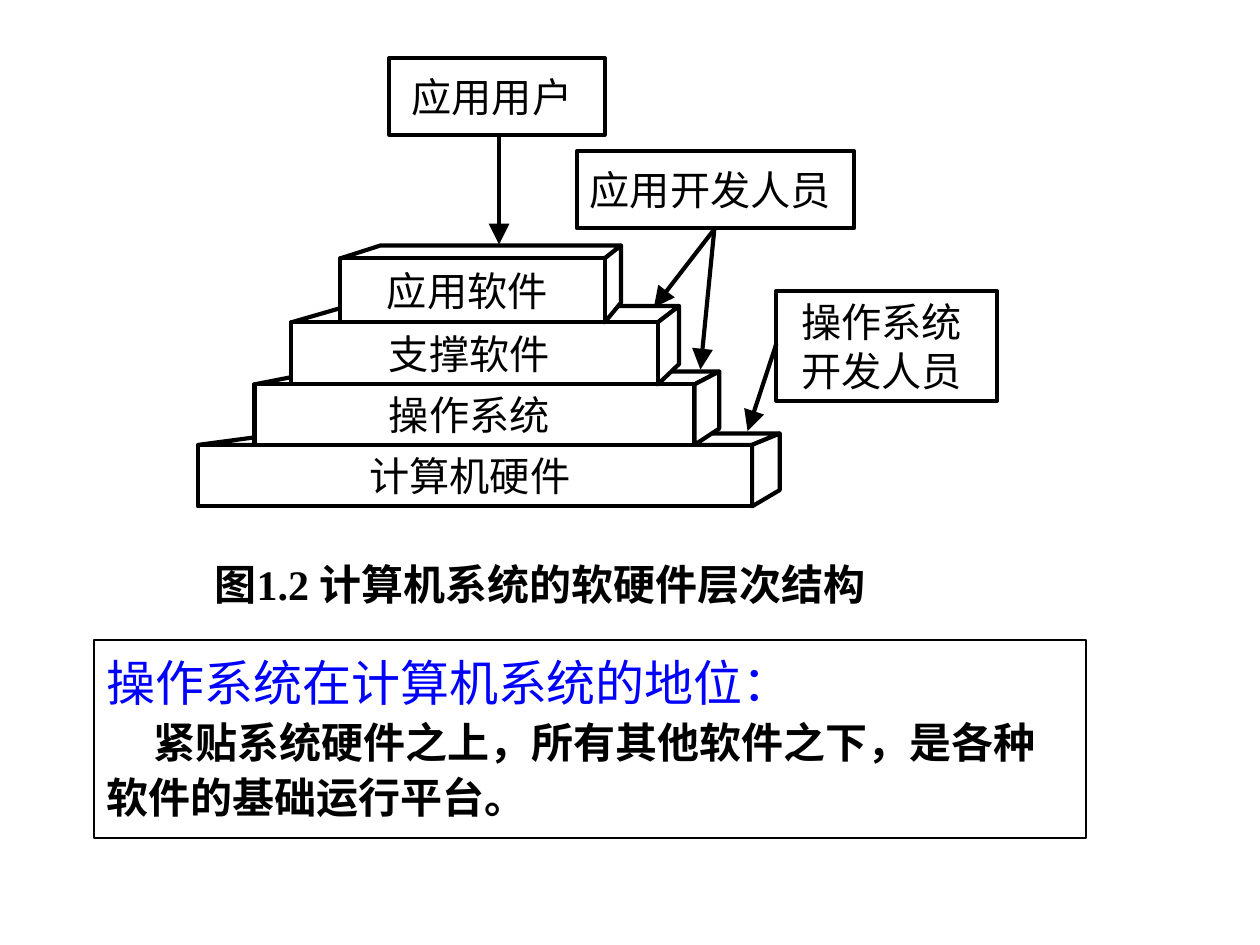
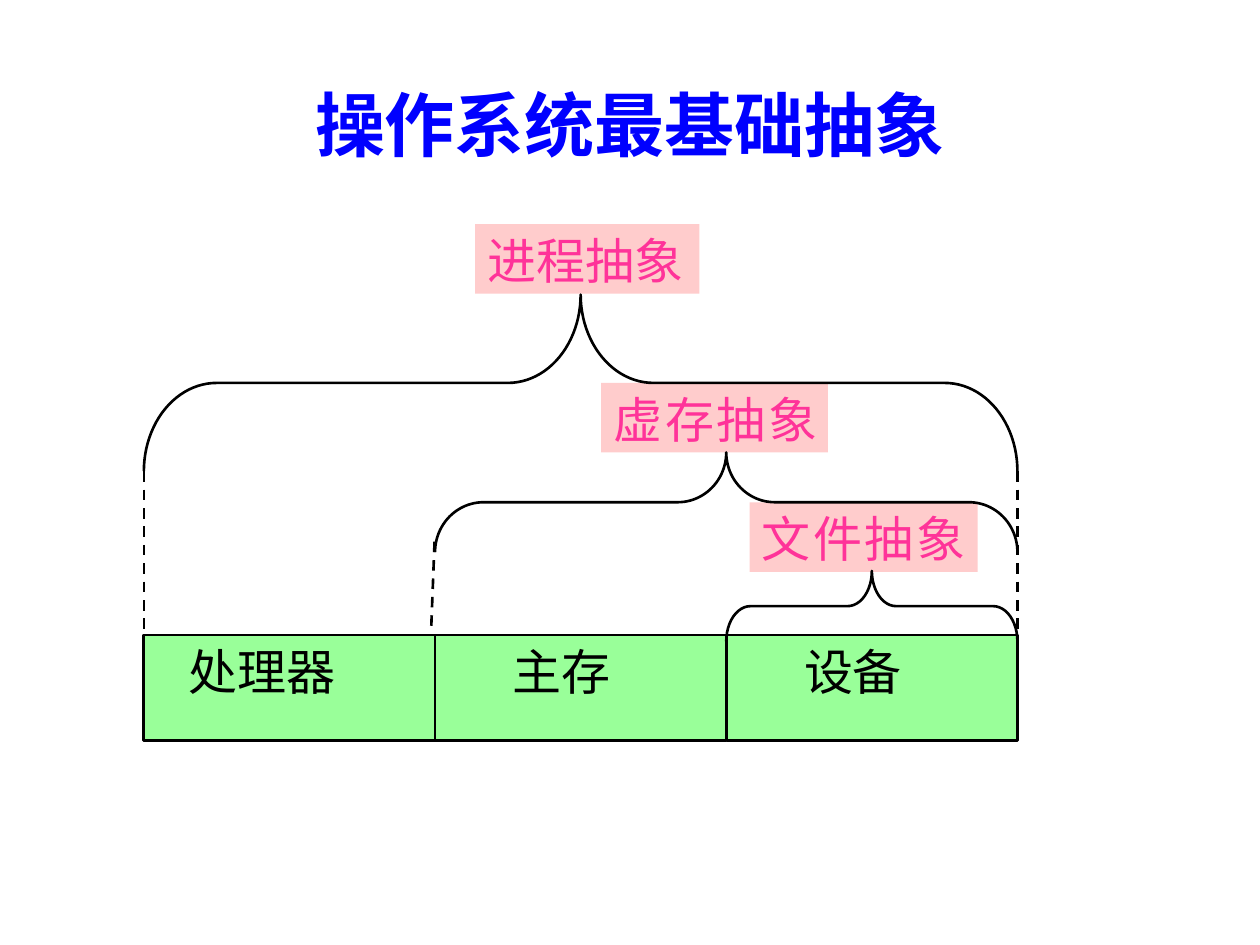
import pptx
import pptx.util
import pptx.dml.color
import pptx.enum.dml
import pptx.enum.shapes
import pptx.enum.text
import pptx.oxml
import pptx.oxml.ns

Cm = pptx.util.Cm
Pt = pptx.util.Pt
tint = pptx.dml.color.RGBColor.from_string
Kind = pptx.enum.shapes.MSO_SHAPE
Align = pptx.enum.text.PP_ALIGN
Anchor = pptx.enum.text.MSO_ANCHOR
STRAIGHT = pptx.enum.shapes.MSO_CONNECTOR.STRAIGHT

BLACK, WHITE, BLUE = "000000", "FFFFFF", "0000FF"
PINK, ROSE, GREEN = "FFCCCC", "FF3399", "99FF99"
SANS, JAPAN, SERIF = "Noto Sans CJK SC", "Noto Sans CJK JP", "Times New Roman"


def paint(shape, fill=None, line=BLACK, width=2.38):
    """Set fill and line of a shape or connector, without a shadow."""
    if fill:
        shape.fill.solid()
        shape.fill.fore_color.rgb = tint(fill)
    elif hasattr(shape, "fill"):
        shape.fill.background()
    if line:
        shape.line.color.rgb = tint(line)
        shape.line.width = Pt(width)
    else:
        shape.line.fill.background()
    props = shape._element.spPr
    props.append(props.makeelement(pptx.oxml.ns.qn("a:effectLst"), {}))
    return shape


def write(shape, text, size=23, font=SANS, east=SANS, color=BLACK, bold=False,
          align=Align.LEFT, anchor=Anchor.TOP, inset=(0.25, 0.13, 0.25, 0.13),
          wrap=True, lead=None, before=0, left=0, first=0, track=0):
    """Add one paragraph of text to a shape; insets and indents in cm."""
    frame = shape.text_frame
    frame.word_wrap = wrap
    frame.vertical_anchor = anchor
    (frame.margin_left, frame.margin_top,
     frame.margin_right, frame.margin_bottom) = [Cm(n) for n in inset]
    para = frame.paragraphs[-1]
    if para.runs:
        para = frame.add_paragraph()
    para.alignment = align
    para.line_spacing = lead
    para.space_before = Pt(before)
    props = para._p.get_or_add_pPr()
    props.set("marL", str(Cm(left)))
    props.set("indent", str(Cm(first)))
    run = para.add_run()
    run.text = text
    run.font.size = Pt(size)
    run.font.name = font
    run.font.bold = bold
    run.font.color.rgb = tint(color)
    props = run._r.get_or_add_rPr()
    props.set("lang", "zh-CN")
    if track:
        props.set("spc", str(track))
    latin = props.find(pptx.oxml.ns.qn("a:latin"))
    latin.addnext(props.makeelement(pptx.oxml.ns.qn("a:ea"), {"typeface": east}))


deck = pptx.Presentation()
deck.slide_width, deck.slide_height = Cm(25.4), Cm(19.05)
blank = deck.slide_layouts[6]

# Slide 1: layers of a computer system
shapes = deck.slides.add_slide(blank).shapes
label = dict(align=Align.CENTER, anchor=Anchor.MIDDLE, inset=(0, 0, 0.2, 0), wrap=False)

# Stacked blocks: front face, then rear left, right, top and bottom
blocks = [
    ("计算机硬件", 3.99, 8.97, 15.16, 10.21, 5.72, 15.72, 8.74, 9.88),
    ("操作系统", 5.13, 7.75, 14.0, 8.97, 6.45, 14.5, 7.49, 8.64),
    ("支撑软件", 5.87, 6.5, 13.26, 7.75, 7.01, 13.69, 6.17, 7.34),
    ("应用软件", 6.86, 5.21, 12.19, 6.5, 7.67, 12.52, 4.95, 6.1),
]
for name, x, y, right, base, back, far, top, low in blocks:
    lid = [(x, y), (right, y), (far, top), (back, top)]
    side = [(right, y), (right, base), (far, low), (far, top)]
    for face in (lid, side):
        dots = [(Cm(a), Cm(b)) for a, b in face]
        form = shapes.build_freeform(*dots[0], scale=1.0)
        form.add_line_segments(dots[1:], close=True)
        paint(form.convert_to_shape(), WHITE)
    front = shapes.add_shape(Kind.RECTANGLE, Cm(x), Cm(y), Cm(right - x), Cm(base - y))
    write(paint(front, WHITE), name, **label)

# People who use the layers
people = [
    (["应用用户"], 7.85, 1.17, 4.34, 1.55),
    (["应用开发人员"], 11.63, 3.05, 5.59, 1.55),
    (["操作系统", "开发人员"], 15.65, 5.87, 4.45, 2.21),
]
for lines, *spot in people:
    box = paint(shapes.add_shape(Kind.RECTANGLE, *[Cm(n) for n in spot]), WHITE)
    for line in lines:
        write(box, line, lead=Pt(28) if len(lines) > 1 else None, **label)

# Arrows from people to layers
arrows = [(10.06, 2.74, 10.06, 4.93), (14.4, 4.62, 13.18, 6.2),
          (14.4, 4.62, 14.12, 7.45), (15.65, 6.93, 15.07, 8.69)]
for ends in arrows:
    arrow = paint(shapes.add_connector(STRAIGHT, *[Cm(n) for n in ends]))
    stroke = arrow.line._get_or_add_ln()
    stroke.append(stroke.makeelement(pptx.oxml.ns.qn("a:tailEnd"),
                                     dict(type="triangle", w="lg", len="lg")))

# Caption
text = shapes.add_textbox(Cm(0.3), Cm(11.13), Cm(21.18), Cm(1.2))
write(text, "图1.2 计算机系统的软硬件层次结构", size=24, font=SERIF, bold=True,
      align=Align.CENTER, before=6)

# Remark
note = shapes.add_shape(Kind.RECTANGLE, Cm(1.9), Cm(12.9), Cm(20), Cm(3.99))
paint(note, width=1.25)
write(note, "操作系统在计算机系统的地位：", size=28, font=SERIF, color=BLUE, lead=1.1)
write(note, "紧贴系统硬件之上，所有其他软件之下，是各种软件的基础运行平台。",
      size=24, bold=True, lead=1.1, first=0.95)

# Slide 2: basic abstractions
shapes = deck.slides.add_slide(blank).shapes
title = shapes.add_textbox(Cm(1.9), Cm(0.91), Cm(21.59), Cm(3.18))
write(title, "操作系统最基础抽象", size=40, font=SERIF, color=BLUE, bold=True,
      align=Align.CENTER, anchor=Anchor.MIDDLE)

# Row of resources
start, cell, edge = 2.9, 5.87, 20.51
for i, (name, indent) in enumerate([("处理器", 0.66), ("主存", 1.32), ("设备", 1.32)]):
    box = shapes.add_shape(Kind.RECTANGLE, Cm(start + i * cell), Cm(12.8), Cm(cell), Cm(2.13))
    write(paint(box, GREEN, width=1.5), name, size=28, font=JAPAN, east=JAPAN, left=indent)

# Each abstraction: a tag, and a brace over the cells from the given one on
tags = [("文件抽象", 15.11, 10.13, 4.6, 150, 2, 11.51, 1.42),
        ("虚存抽象", 12.12, 7.72, 4.57, 150, 1, 9.12, 2.01),
        ("进程抽象", 9.58, 4.52, 4.52, 0, 0, 5.94, 3.56)]
for name, x, y, width, track, i, top, deep in tags:
    tag = shapes.add_shape(Kind.RECTANGLE, Cm(x), Cm(y), Cm(width), Cm(1.4))
    write(paint(tag, PINK, None), name, size=28, font=JAPAN, east=JAPAN, color=ROSE,
          wrap=False, track=track)
    span = (3 - i) * cell
    mid = edge - span / 2
    brace = shapes.add_shape(Kind.LEFT_BRACE, Cm(mid - deep / 2),
                             Cm(top + deep / 2 - span / 2), Cm(deep), Cm(span))
    brace.rotation = 90
    brace.adjustments[0] = span / 12 / deep
    paint(brace, width=1.5)

# Dashed guides down to the row
for ends in [(8.76, 10.92, 8.69, 12.73), (start, 9.5, start, 12.73), (edge, 9.5, edge, 12.73)]:
    guide = paint(shapes.add_connector(STRAIGHT, *[Cm(n) for n in ends]), width=1.5)
    guide.line.dash_style = pptx.enum.dml.MSO_LINE.DASH

deck.save("out.pptx")
